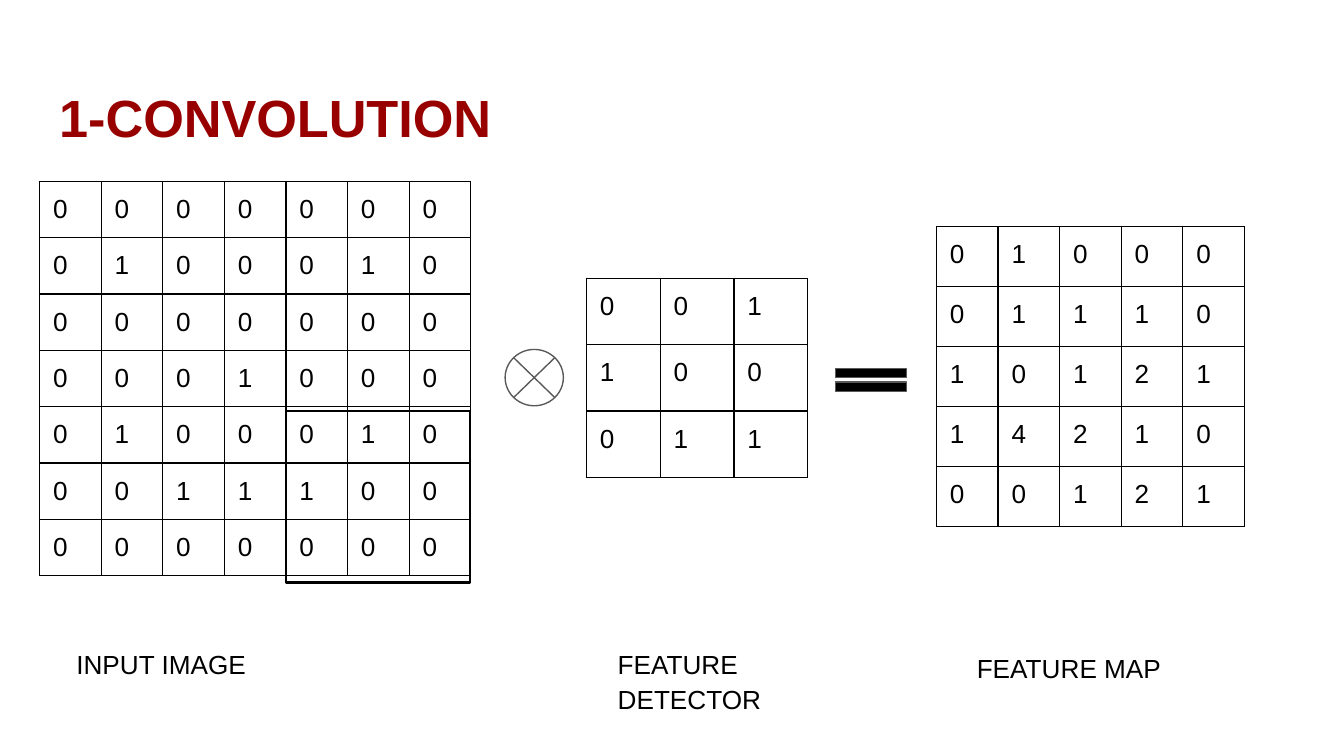
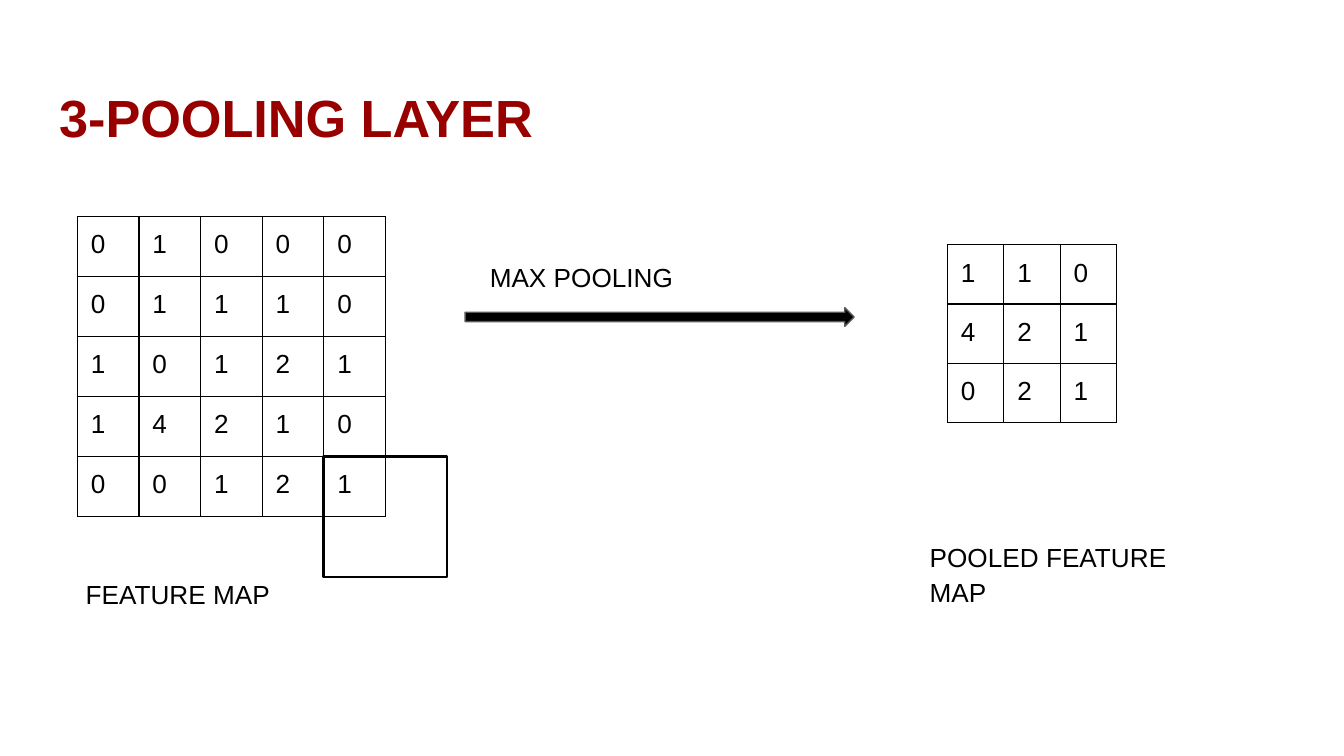
from lxml import etree
from pptx import Presentation
from pptx import util as u
from pptx.dml.color import RGBColor
from pptx.enum import shapes, text
from pptx.oxml.ns import qn

# Shared look
FONT = "Arial"
RED, BLACK, GREY = "980000", "000000", "595959"
THIN, BOLD = 0.75, 1.5
INSET = 7.2
SPACE = 1.1
KIND = shapes.MSO_SHAPE

# Matrices, one string per row
INPUT = ["0000000", "0100010", "0000000", "0001000",
         "0100010", "0011100", "0000000"]
FILTER = ["001", "100", "011"]
MAP = ["01000", "01110", "10121", "14210", "00121"]
POOLED = ["110", "421", "021"]
MAP_COL, MAP_ROW = 33, 32.2


def color(code):
    return RGBColor.from_string(code)


def pts(*nums):
    return [u.Pt(n) for n in nums]


def write(frame, words, size=14, ink=BLACK, bold=False, space=None):
    para = frame.paragraphs[0]
    para.alignment = text.PP_ALIGN.LEFT
    para.line_spacing = space
    run = para.add_run()
    run.text = words
    font = run.font
    font.name, font.size, font.bold = FONT, u.Pt(size), bold
    font.color.rgb = color(ink)


def pad(frame):
    frame.word_wrap = True
    frame.auto_size = text.MSO_AUTO_SIZE.NONE
    frame.vertical_anchor = text.MSO_ANCHOR.TOP
    frame.margin_left = frame.margin_right = u.Pt(INSET)
    frame.margin_top = frame.margin_bottom = u.Pt(INSET)


def start(deck, words):
    """Add a slide with its title."""
    slide = deck.slides.add_slide(deck.slide_layouts[5])
    title = slide.shapes.title
    title.left, title.top, title.width, title.height = pts(24.5, 35.3, 671, 45.4)
    pad(title.text_frame)
    write(title.text_frame, words, size=28, ink=RED, bold=True, space=SPACE)
    return slide


def label(slide, words, *place):
    frame = slide.shapes.add_textbox(*pts(*place)).text_frame
    pad(frame)
    write(frame, words, space=SPACE)


def edge(cell):
    """Draw the four borders of a cell."""
    props = cell._tc.get_or_add_tcPr()
    for side in ("lnL", "lnR", "lnT", "lnB"):
        line = etree.SubElement(props, qn("a:" + side), w=str(u.Pt(THIN)))
        fill = etree.SubElement(line, qn("a:solidFill"))
        etree.SubElement(fill, qn("a:srgbClr"), val=BLACK)


def grid(slide, rows, left, top, wide, high):
    """Add a matrix whose cells are all wide by high."""
    count = len(rows[0])
    place = pts(left, top, wide * count, high * len(rows))
    table = slide.shapes.add_table(len(rows), count, *place).table
    table.first_row = table.horz_banding = False
    for r, row in enumerate(rows):
        for c, digit in enumerate(row):
            cell = table.cell(r, c)
            cell.margin_left = cell.margin_right = u.Pt(INSET)
            cell.margin_top = cell.margin_bottom = u.Pt(INSET)
            write(cell.text_frame, digit)
            edge(cell)
            cell.fill.background()


def form(slide, kind, *place, fill=None, line=GREY, width=THIN, adjust=()):
    shape = slide.shapes.add_shape(kind, *pts(*place))
    shape.shadow.inherit = False
    if fill:
        shape.fill.solid()
        shape.fill.fore_color.rgb = color(fill)
    else:
        shape.fill.background()
    shape.line.color.rgb = color(line)
    shape.line.width = u.Pt(width)
    for i, value in enumerate(adjust):
        shape.adjustments[i] = value


def stroke(slide, *ends):
    line = slide.shapes.add_connector(shapes.MSO_CONNECTOR.STRAIGHT, *pts(*ends))
    line.line.color.rgb = color(GREY)
    line.line.width = u.Pt(THIN)
    etree.SubElement(line._element.spPr, qn("a:effectLst"))


def cross(slide, left, top, wide, high):
    """Add a circle with a diagonal cross that meets its rim."""
    form(slide, KIND.OVAL, left, top, wide, high)
    inset = (1 - 0.5 ** 0.5) / 2
    x1, x2 = left + wide * inset, left + wide * (1 - inset)
    y1, y2 = top + high * inset, top + high * (1 - inset)
    stroke(slide, x1, y1, x2, y2)
    stroke(slide, x2, y1, x1, y2)


def window(slide, *place):
    form(slide, KIND.RECTANGLE, *place, line=BLACK, width=BOLD)


def convolve(deck):
    slide = start(deck, "1-CONVOLUTION")
    # Matrices
    grid(slide, INPUT, 21.2, 97.2, 33, 30)
    grid(slide, FILTER, 314.2, 149.2, 39.5, 35.5)
    grid(slide, MAP, 501.7, 121.3, MAP_COL, MAP_ROW)
    # Captions
    label(slide, "INPUT IMAGE", 33.8, 338.4, 212.4, 30.2)
    label(slide, "FEATURE DETECTOR", 323.8, 338.6, 126, 36.7)
    label(slide, "FEATURE MAP", 516.2, 340.4, 144.7, 33.1)
    # Operators
    cross(slide, 270.6, 187.2, 31.2, 30.2)
    form(slide, KIND.MATH_EQUAL, 440.6, 193, 51.9, 21, fill=BLACK,
         adjust=(0.235, 0.118))
    # Window over the last step
    window(slide, 153.2, 220.2, 98.6, 91.8)


def pool(deck):
    slide = start(deck, "3-POOLING LAYER")
    left, top = 41.5, 116
    # Matrices
    grid(slide, MAP, left, top, MAP_COL, MAP_ROW)
    grid(slide, POOLED, 507.6, 131.2, 30.2, 31.7)
    # Arrow and captions
    form(slide, KIND.RIGHT_ARROW, 249.2, 164.8, 208.4, 10, fill=BLACK,
         adjust=(0.5, 0.5))
    label(slide, "MAX POOLING", 255.3, 131, 182, 24)
    label(slide, "FEATURE MAP", 38.8, 301, 168, 29.5)
    label(slide, "POOLED FEATURE MAP", 491, 281.4, 158, 24)
    # Window on the last cell
    window(slide, left + 4 * MAP_COL, top + 4 * MAP_ROW,
           2 * MAP_COL, 2 * MAP_ROW)


def main():
    deck = Presentation()
    deck.slide_width, deck.slide_height = pts(720, 405)
    convolve(deck)
    pool(deck)
    deck.save("out.pptx")


if __name__ == "__main__":
    main()
